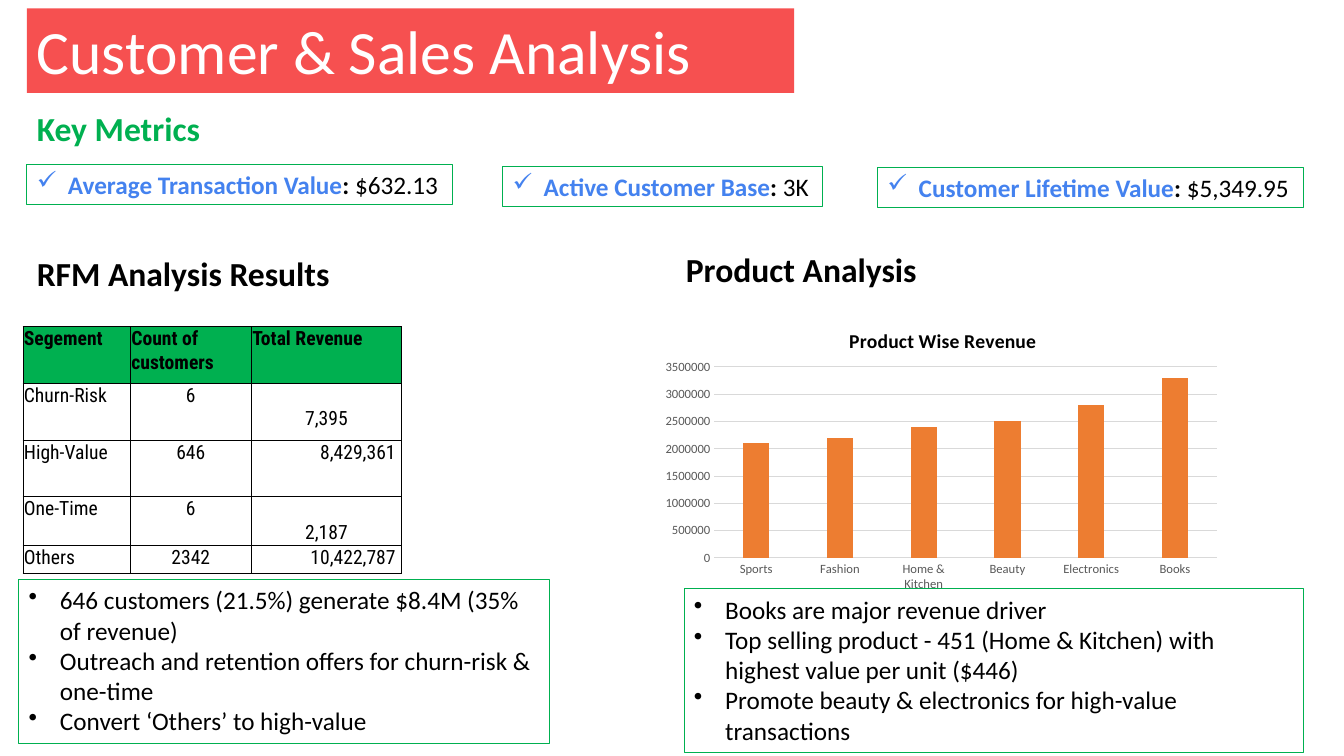
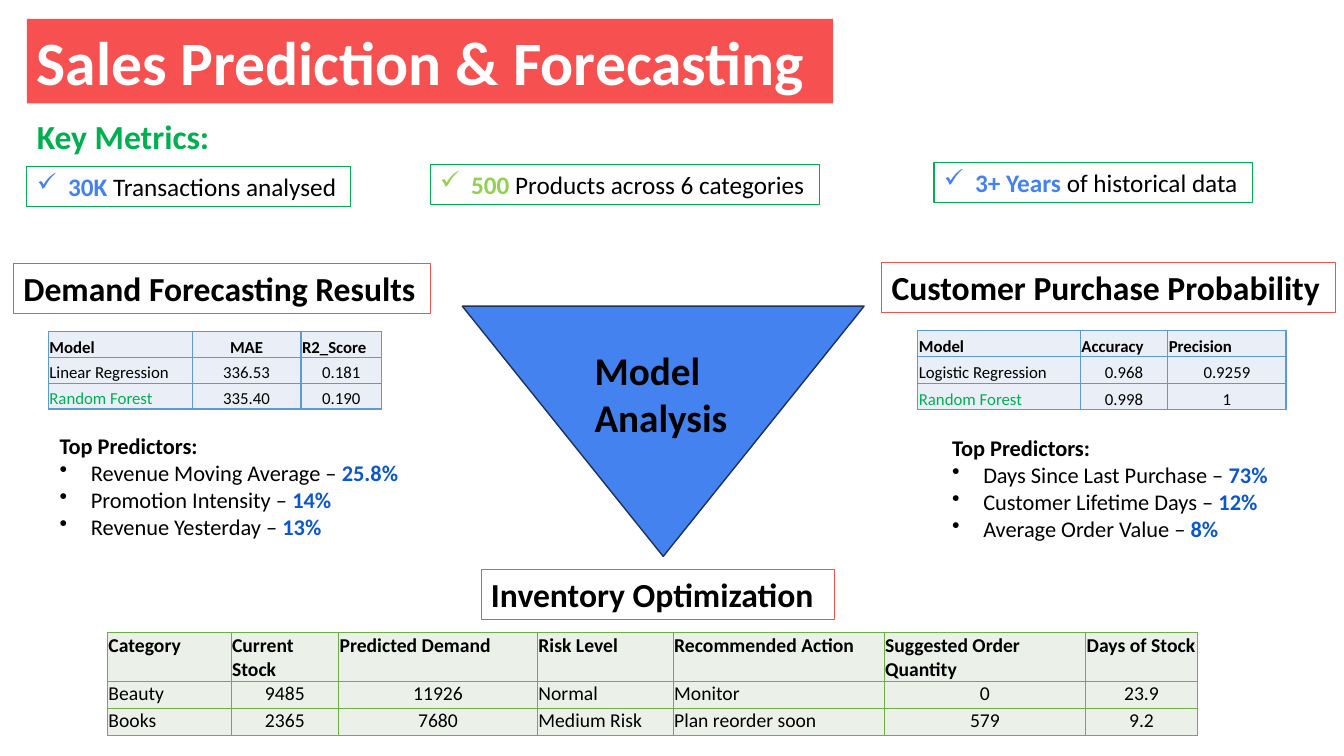
from lxml import etree
from pptx import Presentation
from pptx.chart.data import CategoryChartData
from pptx.dml.color import RGBColor
from pptx.enum.chart import XL_CHART_TYPE, XL_TICK_MARK
from pptx.enum.shapes import MSO_SHAPE
from pptx.enum.text import MSO_ANCHOR, PP_ALIGN
from pptx.oxml.ns import qn
from pptx.util import Inches, Pt

LEFT, CENTER, RIGHT = PP_ALIGN.LEFT, PP_ALIGN.CENTER, PP_ALIGN.RIGHT
TOP, BOTTOM = MSO_ANCHOR.TOP, MSO_ANCHOR.BOTTOM
NO_TICK = XL_TICK_MARK.NONE
COLUMN_CHART = XL_CHART_TYPE.COLUMN_CLUSTERED
TRIANGLE = MSO_SHAPE.ISOSCELES_TRIANGLE

BLACK, WHITE, RED, GREEN = "000000", "FFFFFF", "F65050", "00B050"
BLUE, DEEP_BLUE, LIME, ORANGE = "4482EF", "0A58CA", "92D050", "ED7D31"
GRID_GREY, LABEL_GREY = "D9D9D9", "595959"
BODY_FONT, NARROW_FONT = "Calibri", "Roboto Condensed"
CHECK, DOT = "✓", "•"
color = RGBColor.from_string

deck = Presentation()
deck.slide_width, deck.slide_height = Inches(13.33), Inches(7.5)
# The grid divides each slide into 1000 columns and 1000 rows.
COLUMN, ROW = deck.slide_width // 1000, deck.slide_height // 1000
blank = deck.slide_layouts[6]
analysis, forecast = [deck.slides.add_slide(blank) for _ in range(2)]


def write(frame, paragraphs, size, font=BODY_FONT, align=LEFT):
    """Fill a frame with (bullet, [(text, colour, bold), ...]) paragraphs."""
    for index, (bullet, spans) in enumerate(paragraphs):
        para = frame.add_paragraph() if index else frame.paragraphs[0]
        para.alignment = align
        if bullet:
            properties = para._p.get_or_add_pPr()
            properties.set("marL", str(Inches(0.31)))
            properties.set("indent", str(-Inches(0.31)))
            etree.SubElement(properties, qn("a:buChar")).set("char", bullet)
        for text, tint, bold in spans:
            span = para.add_run()
            span.text = text
            for name, value in {"name": font, "size": Pt(size), "bold": bold}.items():
                setattr(span.font, name, value)
            span.font.color.rgb = color(tint)


def set_layout(element, position, **shares):
    """Place a chart part by shares of the chart's size."""
    layout = element.find(qn("c:layout"))
    if layout is None:
        layout = etree.Element(qn("c:layout"))
        element.insert(position, layout)
    manual = etree.SubElement(layout, qn("c:manualLayout"))
    values = {"xMode": "edge", "yMode": "edge"} | shares
    if "w" in shares:
        values = {"layoutTarget": "inner"} | values
    for name, value in values.items():
        etree.SubElement(manual, qn(f"c:{name}")).set("val", str(value))


# Triangle behind its label
left, top, width, height = 344, 405, 299, 331
triangle = forecast.shapes.add_shape(
    TRIANGLE, left * COLUMN, top * ROW, width * COLUMN, height * ROW)
triangle.rotation = 180
triangle.adjustments[0] = 0.5
triangle.shadow.inherit = False
triangle.fill.solid()
triangle.fill.fore_color.rgb = color(BLUE)
triangle.line.color.rgb = color("1E3256")
triangle.line.width = Pt(1)

# Text boxes: page, (left, top, width, height), size, fill, line, paragraphs
boxes = []
for page, area, text, bold in [
    (analysis, (20, 11, 571, 112), "Customer & Sales Analysis", False),
    (forecast, (20, 25, 600, 112), "Sales Prediction & Forecasting", True),
]:
    boxes.append((page, area, 44, RED, None, [(None, [(text, WHITE, bold)])]))

for page, left, top, width, text, tint, line in [
    (analysis, 20, 136, 140, "Key Metrics", GREEN, None),
    (analysis, 20, 328, 238, "RFM Analysis Results", BLACK, None),
    (analysis, 503, 323, 190, "Product Analysis", BLACK, None),
    (forecast, 20, 147, 151, "Key Metrics:", GREEN, None),
    (forecast, 10, 348, 310, "Demand Forecasting Results", BLACK, RED),
    (forecast, 656, 347, 338, "Customer Purchase Probability", BLACK, RED),
    (forecast, 358, 753, 263, "Inventory Optimization", BLACK, RED),
]:
    boxes.append((page, (left, top, width, 67), 24, None, line,
                  [(None, [(text, tint, True)])]))

for page, left, top, width, spans in [
    (analysis, 20, 217, 317, [("Average Transaction Value", BLUE, True),
                              (": ", BLACK, True), ("$632.13", BLACK, False)]),
    (analysis, 374, 220, 238, [("Active Customer Base", BLUE, True),
                               (": ", BLACK, True), ("3K", BLACK, False)]),
    (analysis, 653, 221, 317, [("Customer Lifetime Value", BLUE, True),
                               (": ", BLACK, True), ("$5,349.95", BLACK, False)]),
    (forecast, 20, 220, 241, [("30K ", BLUE, True),
                              ("Transactions analysed", BLACK, False)]),
    (forecast, 320, 217, 290, [("500 ", LIME, True),
                               ("Products across 6 categories", BLACK, False)]),
    (forecast, 695, 215, 237, [("3+ Years ", BLUE, True),
                               ("of historical data", BLACK, False)]),
]:
    boxes.append((page, (left, top, width, 53), 18, None, GREEN, [(CHECK, spans)]))

for left, top, width, findings in [
    (14, 767, 395, ["646 customers (21.5%) generate $8.4M (35% of revenue)",
                    "Outreach and retention offers for churn-risk & one-time",
                    "Convert ‘Others’ to high-value"]),
    (509, 779, 461, ["Books are major revenue driver",
                     "Top selling product - 451 (Home & Kitchen) with highest "
                     "value per unit ($446)",
                     "Promote beauty & electronics for high-value transactions"]),
]:
    boxes.append((analysis, (left, top, width, 216), 18, None, GREEN,
                  [(DOT, [(text, BLACK, False)]) for text in findings]))

for left, top, width, predictors in [
    (37, 565, 290, {"Revenue Moving Average": "25.8%",
                    "Promotion Intensity": "14%", "Revenue Yesterday": "13%"}),
    (701, 568, 270, {"Days Since Last Purchase": "73%",
                     "Customer Lifetime Days": "12%", "Average Order Value": "8%"}),
]:
    paragraphs = [(None, [("Top Predictors:", BLACK, True)])]
    for name, share in predictors.items():
        paragraphs.append((DOT, [(f"{name} – ", BLACK, False), (share, DEEP_BLUE, True)]))
    boxes.append((forecast, (left, top, width, 157), 16, None, None, paragraphs))

boxes.append((forecast, (435, 452, 120, 139), 28, None, None,
              [(None, [(word, BLACK, True)]) for word in ("Model", "Analysis")]))

for page, (left, top, width, height), size, fill, line, paragraphs in boxes:
    box = page.shapes.add_textbox(
        left * COLUMN, top * ROW, width * COLUMN, height * ROW)
    box.text_frame.word_wrap = True
    if fill:
        box.fill.solid()
        box.fill.fore_color.rgb = color(fill)
    if line:
        box.line.color.rgb = color(line)
        box.line.width = Pt(0.75)
    write(box.text_frame, paragraphs, size)

# Tables
model_style = {"size": 12, "font": BODY_FONT, "anchor": BOTTOM, "border": "5B9BD5",
               "weight": 1, "head": "EAEFF7", "body": "EAEFF7"}
segment_style = {"size": 14, "font": NARROW_FONT, "anchor": TOP, "border": BLACK,
                 "weight": 0.5, "head": GREEN, "body": None}
stock_style = {"size": 14, "font": BODY_FONT, "anchor": TOP, "border": "70AD47",
               "weight": 1, "head": "EBF1E9", "body": "EBF1E9"}
tables = [
    (analysis, 17, 432, [80, 90, 112], [75, 75, 75, 64, 37], segment_style, [
        ["Segement", "Count of customers", "Total Revenue"],
        ["Churn-Risk", "6", "7,395"],
        ["High-Value", "646", "8,429,361"],
        ["One-Time", "6", "2,187"],
        ["Others", "2342", "10,422,787"]]),
    (forecast, 36, 439, [107, 81, 60], [34] * 3, model_style, [
        ["Model", "MAE", "R2_Score"],
        ["Linear Regression", "336.53", "0.181"],
        ["Random Forest", "335.40", "0.190"]]),
    (forecast, 683, 437, [121, 65, 88], [35] * 3, model_style, [
        ["Model", "Accuracy", "Precision"],
        ["Logistic Regression", "0.968", "0.9259"],
        ["Random Forest", "0.998", "1"]]),
    (forecast, 80, 837, [92, 80, 148, 101, 157, 150, 83], [64, 36, 36], stock_style, [
        ["Category", "Current Stock", "Predicted Demand", "Risk Level",
         "Recommended Action", "Suggested Order Quantity", "Days of Stock"],
        ["Beauty", "9485", "11926", "Normal", "Monitor", "0", "23.9"],
        ["Books", "2365", "7680", "Medium Risk", "Plan reorder soon", "579", "9.2"]]),
]
for page, left, top, widths, heights, style, rows in tables:
    table = page.shapes.add_table(
        len(heights), len(widths), left * COLUMN, top * ROW,
        sum(widths) * COLUMN, sum(heights) * ROW).table
    table.first_row = table.horz_banding = False
    for column, width in zip(table.columns, widths):
        column.width = width * COLUMN
    for row_index, (row, height, texts) in enumerate(zip(table.rows, heights, rows)):
        row.height = height * ROW
        for cell, text in zip(row.cells, texts):
            margins = {"margin_left": 0.01, "margin_right": 0.01,
                       "margin_top": 0.01, "margin_bottom": 0}
            align = CENTER if text[0].isdigit() or text == "MAE" else LEFT
            if "," in text and len(text) > 5:
                align, margins["margin_right"] = RIGHT, 0.06
            elif "," in text:
                margins["margin_top"] = 0.24
            for name, value in margins.items():
                setattr(cell, name, Inches(value))
            cell.vertical_anchor = style["anchor"]
            properties = cell._tc.get_or_add_tcPr()
            for side in ("lnL", "lnR", "lnT", "lnB"):
                edge = etree.SubElement(properties, qn(f"a:{side}"))
                edge.set("w", str(Pt(style["weight"])))
                paint = etree.SubElement(edge, qn("a:solidFill"))
                etree.SubElement(paint, qn("a:srgbClr")).set("val", style["border"])
            fill = style["body"] if row_index else style["head"]
            if fill:
                cell.fill.solid()
                cell.fill.fore_color.rgb = color(fill)
            else:
                cell.fill.background()
            tint = GREEN if text == "Random Forest" else BLACK
            write(cell.text_frame, [(None, [(text, tint, row_index == 0)])],
                  style["size"], style["font"], align)

# Revenue chart
revenue = CategoryChartData()
revenue.categories = ["Sports", "Fashion", "Home & Kitchen", "Beauty",
                      "Electronics", "Books"]
revenue.add_series("Series 1", [2100000, 2200000, 2400000, 2500000, 2800000, 3300000])
left, top, width, height = 489, 405, 425, 383
chart = analysis.shapes.add_chart(
    COLUMN_CHART, left * COLUMN, top * ROW, width * COLUMN, height * ROW, revenue).chart
chart.has_legend = False
chart.font.name, chart.font.size = BODY_FONT, Pt(10)
chart.has_title = True
write(chart.chart_title.text_frame,
      [(None, [("Product Wise Revenue", BLACK, True)])], 14, align=CENTER)
set_layout(chart.chart_title._element, 1, x=0.33, y=0.06)
set_layout(chart._chartSpace.chart.plotArea, 0, x=0.1, y=0.21, w=0.88, h=0.66)
plot = chart.plots[0]
for name, value in {"gap_width": 219, "overlap": -27, "vary_by_categories": False}.items():
    setattr(plot, name, value)
bars = plot.series[0].format.fill
bars.solid()
bars.fore_color.rgb = color(ORANGE)
for axis in (chart.category_axis, chart.value_axis):
    axis.major_tick_mark = axis.minor_tick_mark = NO_TICK
    axis.tick_labels.font.name, axis.tick_labels.font.size = BODY_FONT, Pt(9)
    axis.tick_labels.font.color.rgb = color(LABEL_GREY)
chart.value_axis.minimum_scale, chart.value_axis.maximum_scale = 0, 3500000
chart.value_axis.major_unit = 500000
chart.value_axis.format.line.fill.background()
for line in (chart.category_axis.format.line, chart.value_axis.major_gridlines.format.line):
    line.color.rgb = color(GRID_GREY)
    line.width = Pt(0.75)

deck.save("out.pptx")
